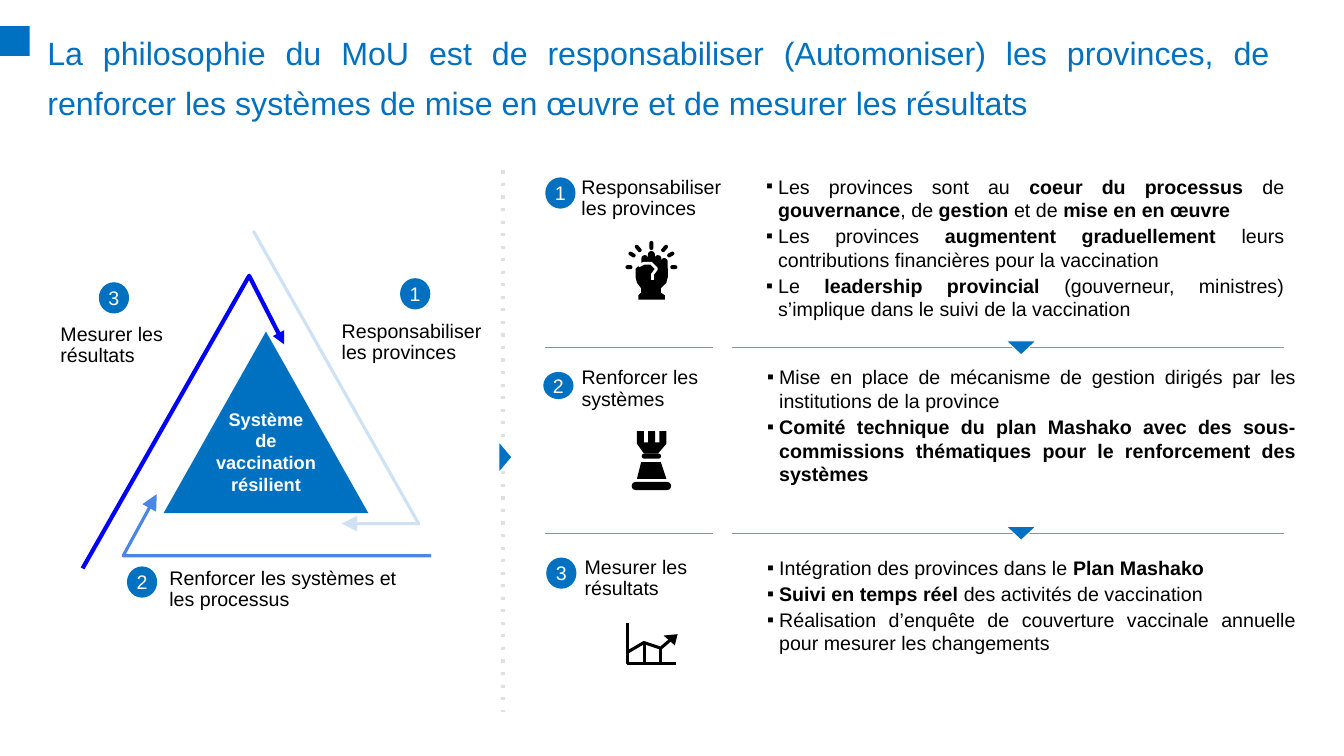
from lxml import etree
from pptx import Presentation
from pptx.dml import color as col
from pptx.enum import shapes, text
from pptx.oxml import ns
from pptx.util import Pt

COLOURS = {"blue": "0070C0", "mid": "4A86E8", "pale": "CFE2F3", "deep": "0000FF",
           "dots": "DEE0E3", "rule": "8D9399", "black": "000000", "white": "FFFFFF"}
FONT = "Arial"
BODY_SIZE = 14
BULLET_INDENT = 8.64
BADGE_WIDTH, BADGE_HEIGHT = 21.6, 22.3
ICON_X = 465.3  # shared centre line of the three icons
KINDS = shapes.MSO_SHAPE
ALIGN = text.PP_ALIGN
ANCHOR = text.MSO_ANCHOR

# Words between asterisks are bold; label is (left, top, width), badge a frame
TOPICS = [
    {"name": "Responsabiliser les provinces",
     "label": (415.4, 126.7, 119.5), "badge": (389.5, 126.7, BADGE_WIDTH, BADGE_HEIGHT),
     "body": (547.2, 124.6, 370.1, 105.1), "inset": 0,
     "bullets": [
         "Les provinces sont au *coeur du processus* de *gouvernance*, de *gestion* et de "
         "*mise en en œuvre*",
         "Les provinces *augmentent graduellement* leurs contributions financières pour "
         "la vaccination",
         "Le *leadership provincial* (gouverneur, ministres) s’implique dans le suivi de "
         "la vaccination"]},
    {"name": "Renforcer les systèmes",
     "label": (415.4, 262.8, 107.3), "badge": (388.1, 265.7, BADGE_WIDTH, 19.4),
     "body": (547.9, 257.4, 378, 97.2), "inset": 3.6,
     "bullets": [
         "Mise en place de mécanisme de gestion dirigés par les institutions de la province",
         "*Comité technique du plan Mashako avec des sous-commissions thématiques pour le "
         "renforcement des systèmes*"]},
    {"name": "Mesurer les résultats",
     "label": (417.6, 398.2, 107.3), "badge": (390.2, 398.2, BADGE_WIDTH, BADGE_HEIGHT),
     "body": (547.9, 393.4, 378, 82.1), "inset": 3.6,
     "bullets": [
         "Intégration des provinces dans le *Plan Mashako*",
         "*Suivi en temps réel* des activités de vaccination",
         "Réalisation d’enquête de couverture vaccinale annuelle pour mesurer les changements"]},
]

# Around the triangle, in badge order: words, label place, badge corner
CYCLE = [
    ("Responsabiliser les provinces", (244.1, 229.7, 118.1), (285.8, 198.7)),
    ("Renforcer les systèmes et les processus", (121, 406.1, 170.6), (90.7, 404.6)),
    ("Mesurer les résultats", (43.2, 231.5, 82.8), (70.6, 201.6)),
]

# Bent arrows: corner points, colour, weight, head size
CYCLE_ARROWS = [
    ([(308.2, 396.7), (87.8, 396.7), (111.6, 352.8)], "mid", 2.25, "lg"),
    ([(59, 406.1), (177.8, 197.3), (203, 246.2)], "deep", 3, "med"),
    ([(180.7, 164.9), (298.8, 374.4), (244.1, 374.4)], "pale", 2.25, "lg"),
]


def rgb(name):
    return col.RGBColor.from_string(COLOURS[name])


# Text
def add_run(para, words, size=BODY_SIZE, colour="black", bold=False):
    span = para.add_run()
    span.text = words
    span.font.name, span.font.size, span.font.bold = FONT, Pt(size), bold
    span.font.color.rgb = rgb(colour)


def set_frame(frame, sides=0, top=0, bottom=0, anchor=ANCHOR.TOP):
    frame.word_wrap = True
    frame.auto_size = text.MSO_AUTO_SIZE.NONE
    frame.margin_left = frame.margin_right = Pt(sides)
    frame.margin_top, frame.margin_bottom = Pt(top), Pt(bottom)
    frame.vertical_anchor = anchor


def next_para(frame, index, alignment):
    para = frame.add_paragraph() if index else frame.paragraphs[0]
    para.alignment = alignment
    return para


def add_title(page, words):
    title = page.shapes.title
    title.left, title.top, title.width, title.height = Pt(33.8), Pt(16.2), Pt(874.8), Pt(72.7)
    set_frame(title.text_frame)
    para = next_para(title.text_frame, 0, ALIGN.JUSTIFY)
    para.line_spacing = 1.28
    add_run(para, words, 23, "blue")


def add_label(page, words, left, top, width):
    box = page.shapes.add_textbox(Pt(left), Pt(top), Pt(width), Pt(31.7))
    set_frame(box.text_frame)
    para = next_para(box.text_frame, 0, ALIGN.LEFT)
    para.line_spacing = 0.9
    add_run(para, words)


def set_bullet(para):
    props = para._p.get_or_add_pPr()
    props.set("marL", str(Pt(BULLET_INDENT)))
    props.set("indent", str(Pt(-BULLET_INDENT)))
    tint = etree.SubElement(props, ns.qn("a:buClr"))
    etree.SubElement(tint, ns.qn("a:srgbClr"), val=COLOURS["black"])
    etree.SubElement(props, ns.qn("a:buFont"), typeface=FONT)
    etree.SubElement(props, ns.qn("a:buChar"), char="▪")


def add_bullets(page, frame, inset, bullets):
    box = page.shapes.add_textbox(*[Pt(length) for length in frame])
    set_frame(box.text_frame, top=inset, bottom=inset)
    for index, bullet in enumerate(bullets):
        para = next_para(box.text_frame, index, ALIGN.JUSTIFY)
        para.level = 1
        para.space_before = Pt(1.8 if index else 0)
        set_bullet(para)
        for part, words in enumerate(bullet.split("*")):
            if words:
                add_run(para, words, bold=part % 2 == 1)


# Shapes and lines
def paint(shape, fill=None, line=None, weight=0.75):
    shape.shadow.inherit = False
    if fill:
        shape.fill.solid()
        shape.fill.fore_color.rgb = rgb(fill)
    else:
        shape.fill.background()
    if line:
        shape.line.color.rgb = rgb(line)
        shape.line.width = Pt(weight)
    else:
        shape.line.fill.background()


def add_box(page, kind, frame, fill, line=None, turn=0):
    box = page.shapes.add_shape(kind, *[Pt(length) for length in frame])
    paint(box, fill, line)
    box.rotation = turn
    return box


def add_pill(page, centre_x, centre_y, width, height, turn=0):
    frame = (centre_x - width / 2, centre_y - height / 2, width, height)
    pill = add_box(page, KINDS.ROUNDED_RECTANGLE, frame, "black", turn=turn)
    pill.adjustments[0] = 0.5


def draw_points(page, points, closed):
    builder = page.shapes.build_freeform(*points[0], scale=Pt(1))
    builder.add_line_segments(points[1:], close=closed)
    return builder.convert_to_shape()


def add_polygon(page, points):
    paint(draw_points(page, points, True), "black")


def add_symmetric(page, top, right_side):
    """Fill an outline given by its right half, as (distance from axis, depth)."""
    right = [(ICON_X + dx, top + dy) for dx, dy in right_side]
    left = [(ICON_X - dx, top + dy) for dx, dy in reversed(right_side)]
    add_polygon(page, right + left)


def add_polyline(page, points, colour, weight, head=None):
    shape = draw_points(page, points, False)
    paint(shape, line=colour, weight=weight)
    if head:
        etree.SubElement(shape.line._get_or_add_ln(), ns.qn("a:tailEnd"),
                         type="triangle", w=head, len=head)


def add_rule(page, start, end, colour, weight, dash=None):
    rule = page.shapes.add_connector(shapes.MSO_CONNECTOR.STRAIGHT,
                                     *[Pt(length) for length in start + end])
    rule.line.color.rgb = rgb(colour)
    rule.line.width = Pt(weight)
    if dash:
        etree.SubElement(rule.line._get_or_add_ln(), ns.qn("a:prstDash"), val=dash)
    etree.SubElement(rule._element.spPr, ns.qn("a:effectLst"))


def add_badge(page, number, frame):
    badge = add_box(page, KINDS.OVAL, frame, "blue")
    set_frame(badge.text_frame, 1.4, 3.6, 3.6, ANCHOR.MIDDLE)
    add_run(next_para(badge.text_frame, 0, ALIGN.CENTER), str(number), colour="white")


# Parts of the slide
def add_cycle(page):
    core = add_box(page, KINDS.ISOSCELES_TRIANGLE, (116.9, 236.9, 146.2, 129.6), "blue")
    set_frame(core.text_frame, bottom=23, anchor=ANCHOR.MIDDLE)
    for index, words in enumerate(["Système", "de vaccination", "résilient"]):
        para = next_para(core.text_frame, index, ALIGN.CENTER)
        add_run(para, words, 13, "white", bold=True)
    for arrow in CYCLE_ARROWS:
        add_polyline(page, *arrow)
    for number, (words, place, corner) in enumerate(CYCLE, 1):
        add_label(page, words, *place)
        add_badge(page, number, (*corner, BADGE_WIDTH, BADGE_HEIGHT))


def add_dividers(page):
    add_rule(page, (359.3, 121.7), (359.3, 508.3), "dots", 2.25, "dot")
    markers = [((349.9, 321.8, 22.3, 9.4), 90)]
    for y in (248.4, 380.9):
        for left, right in ((389.5, 509), (522.7, 917.3)):
            add_rule(page, (left, y), (right, y), "rule", 0.75)
        markers.append(((718.6, y - 5, 21.6, 10.1), 180))
    for frame, turn in markers:
        add_box(page, KINDS.ISOSCELES_TRIANGLE, frame, "blue", "white", turn)


def add_fist(page):
    top = 179.3
    # Rays: distance from the axis, centre height, length, turn
    for dx, dy, length, turn in [(0, -4, 6.5, 0), (9.4, -1.8, 6, 40),
                                 (13.8, 2.5, 5.5, 60), (16, 11.5, 5, 90)]:
        for side in ((-1, 1) if dx else (1,)):
            add_pill(page, ICON_X + side * dx, top + dy, 2.8, length, side * turn)
    # Fingers, each ending inside the palm
    for dx, finger_top in [(-4.7, 2.9), (0, 0), (4.7, 2.9), (9.2, 5)]:
        add_pill(page, ICON_X + dx, top + (finger_top + 20) / 2, 5, 20 - finger_top)
    # Palm and wrist, then the line of the thumb
    add_symmetric(page, top, [(7.2, 9), (11.5, 13), (11.5, 18.7), (10.4, 23.2), (7.2, 26.6),
                              (7.2, 29.5), (9.4, 32), (9.4, 34.6)])
    thumb = [(-9, 10.2), (-5.8, 9), (0, 9), (3.3, 12.2), (0.8, 16.2), (1.1, 21)]
    add_polyline(page, [(ICON_X + dx, top + dy) for dx, dy in thumb], "white", 2)


def add_rook(page):
    # Battlements, body, then the rounded collar and base
    add_symmetric(page, 308.2, [(2.5, 0), (2.5, 8), (5.6, 8), (5.6, 0), (10.4, 0),
                                (10.4, 9), (5, 15.8)])
    add_symmetric(page, 329.8, [(7, 0), (10.4, 12.2)])
    for centre_y, width, height in [(325.8, 13.8, 3.6), (347.1, 28.2, 5.8)]:
        add_pill(page, ICON_X, centre_y, width, height)


def add_trend(page):
    left, top, base, right, weight = 448.2, 445, 474.1, 482.8, 2.2
    curve = [(left, 466.2), (460.4, 458.6), (471.6, 463), (479, 457)]
    add_polyline(page, [(left, top), (left, base), (right, base)], "black", weight)
    add_polyline(page, curve, "black", weight)
    for x, y in curve[1:-1]:
        add_rule(page, (x, y), (x, base), "black", weight)
    add_polygon(page, [(474.5, 453.8), (483.8, 452.9), (482.4, 460.8)])


def main():
    deck = Presentation()
    deck.slide_width, deck.slide_height = Pt(960), Pt(540)
    page = deck.slides.add_slide(deck.slide_layouts[5])
    # Heading
    add_box(page, KINDS.RECTANGLE, (0, 18.7, 21.2, 21.2), "blue")
    add_title(page, "La philosophie du MoU est de responsabiliser (Automoniser) les provinces, "
              "de renforcer les systèmes de mise en œuvre et de mesurer les résultats")
    # Left: cycle around the triangle
    add_cycle(page)
    # Right: three topics, each with its icon
    add_dividers(page)
    for number, (topic, add_icon) in enumerate(zip(TOPICS, (add_fist, add_rook, add_trend)), 1):
        add_label(page, topic["name"], *topic["label"])
        add_badge(page, number, topic["badge"])
        add_bullets(page, topic["body"], topic["inset"], topic["bullets"])
        add_icon(page)
    deck.save("out.pptx")


if __name__ == "__main__":
    main()
